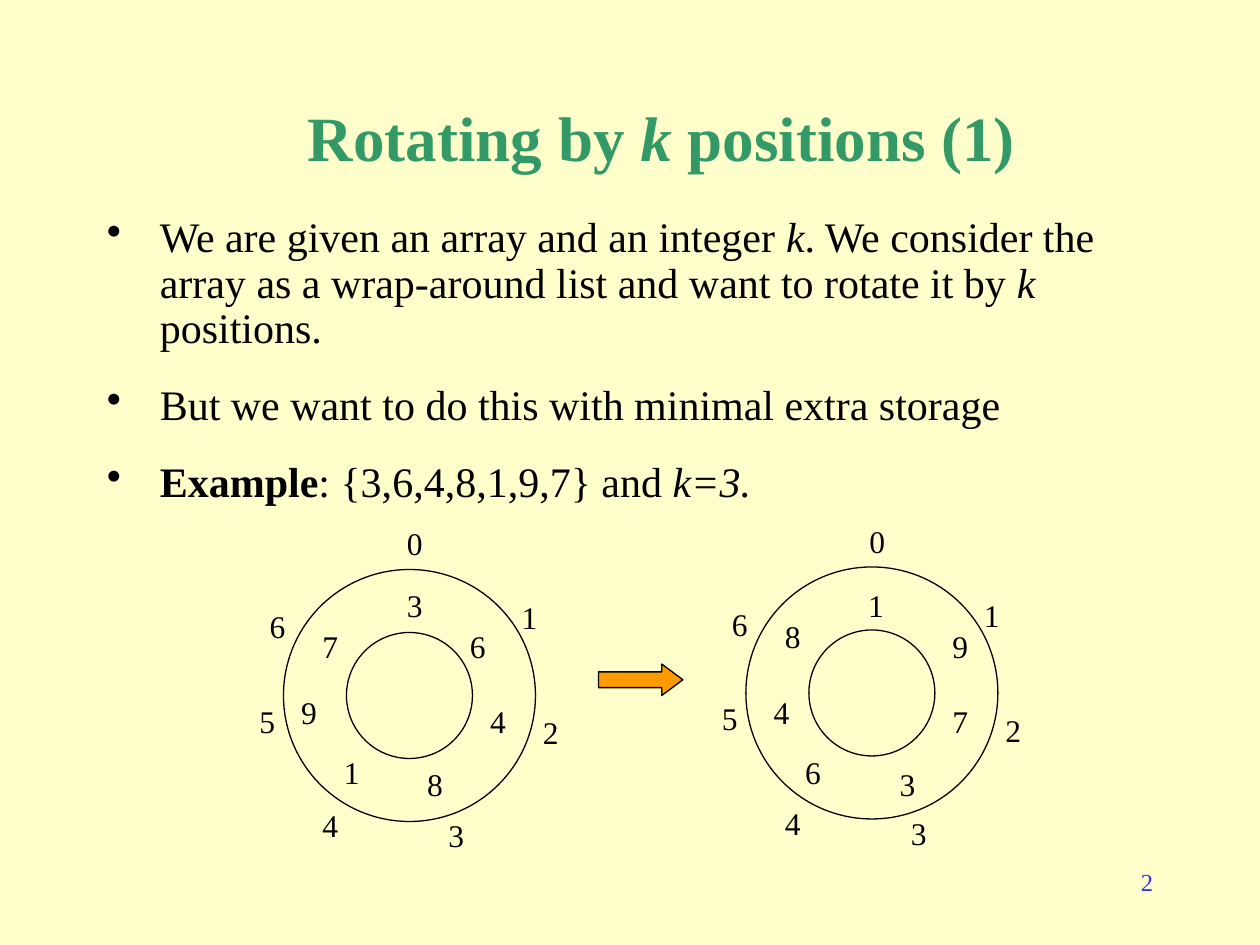
from lxml.etree import SubElement
from pptx import Presentation
from pptx.dml.color import RGBColor
from pptx.enum.shapes import MSO_SHAPE
from pptx.enum.text import MSO_ANCHOR, PP_ALIGN
from pptx.oxml.ns import qn
from pptx.util import Inches, Pt

FONT = "Times New Roman"
BLACK = "000000"
RING_SIZE = 2

BULLETS = [
    [("We are given an array and an integer ", ""), ("k", "i"),
     (". We consider the array as a wrap-around list and want to rotate it by ", ""),
     ("k", "i"), (" positions.", "")],
    [("But we want to do this with minimal extra storage", "")],
    [("Example", "b"), (": {3,6,4,8,1,9,7} and ", ""), ("k=3.", "i")],
]

# Offsets from the top left corner of a ring, in index order 0 to 6
INDEX_OFFSETS = [(0.92, -0.41), (1.83, 0.18), (2, 1.09), (1.25, 1.91),
                 (0.25, 1.83), (-0.25, 1), (-0.17, 0.25)]
BEFORE_OFFSETS = [(0.92, 0.08), (1.42, 0.41), (1.58, 1), (1.08, 1.5),
                  (0.42, 1.41), (0.08, 0.93), (0.25, 0.41)]
AFTER_OFFSETS = [(0.91, 0.1), (1.58, 0.43), (1.58, 1.02), (1.16, 1.52),
                 (0.41, 1.43), (0.16, 0.95), (0.25, 0.35)]


def color(value):
    return RGBColor.from_string(value)


def add_text_frame(slide, left, top, width, height, margin=0.1):
    box = slide.shapes.add_textbox(Inches(left), Inches(top), Inches(width), Inches(height))
    text_frame = box.text_frame
    text_frame.word_wrap = True
    text_frame.margin_left = text_frame.margin_right = Inches(margin)
    return text_frame


def add_runs(paragraph, runs, size, font_color):
    """Fill a paragraph from (text, style) pairs; a style holds b, i or both."""
    for text, style in runs:
        run = paragraph.add_run()
        run.text = text
        run.font.name = FONT
        run.font.size = Pt(size)
        run.font.color.rgb = color(font_color)
        run.font.bold = "b" in style
        run.font.italic = "i" in style


def set_bullet(paragraph):
    properties = paragraph._p.get_or_add_pPr()
    properties.set("marL", str(Inches(0.42)))
    properties.set("indent", str(-Inches(0.42)))
    SubElement(properties, qn("a:buChar")).set("char", "•")


def add_title(slide):
    text_frame = add_text_frame(slide, 1.25, 0.67, 8, 0.83)
    text_frame.vertical_anchor = MSO_ANCHOR.MIDDLE
    paragraph = text_frame.paragraphs[0]
    paragraph.alignment = PP_ALIGN.CENTER
    runs = [("Rotating by ", "b"), ("k", "bi"), (" positions (1)", "b")]
    add_runs(paragraph, runs, 36, "339966")


def add_body(slide):
    text_frame = add_text_frame(slide, 0.75, 1.67, 8.5, 5)
    for number, runs in enumerate(BULLETS):
        paragraph = text_frame.add_paragraph() if number else text_frame.paragraphs[0]
        set_bullet(paragraph)
        paragraph.line_spacing = 0.9
        paragraph.space_before = Pt(18 if number else 0)
        add_runs(paragraph, runs, 24, BLACK)


def add_page_number(slide):
    paragraph = add_text_frame(slide, 7.17, 6.83, 2.08, 0.5).paragraphs[0]
    paragraph.alignment = PP_ALIGN.RIGHT
    add_runs(paragraph, [("2", "")], 14, "3333FF")


def add_preset(slide, preset, left, top, width, height, adjustments, fill=None):
    shape = slide.shapes.add_shape(
        preset, Inches(left), Inches(top), Inches(width), Inches(height))
    shape.shadow.inherit = False
    for number, value in enumerate(adjustments):
        shape.adjustments[number] = value
    if fill:
        shape.fill.solid()
        shape.fill.fore_color.rgb = color(fill)
    else:
        shape.fill.background()
    shape.line.color.rgb = color(BLACK)
    shape.line.width = Pt(0.75)


def add_labels(slide, left, top, width, labels, offsets):
    for label, (across, down) in zip(labels, offsets):
        text_frame = add_text_frame(slide, left + across, top + down, width, 0.4, 0.06)
        add_runs(text_frame.paragraphs[0], [(label, "")], 18, BLACK)


def add_ring(slide, left, top, values, value_offsets):
    add_preset(slide, MSO_SHAPE.DONUT, left, top, RING_SIZE, RING_SIZE, [0.25])
    add_labels(slide, left, top, 0.5, values, value_offsets)
    add_labels(slide, left, top, 0.33, "0123456", INDEX_OFFSETS)


def main():
    presentation = Presentation()
    presentation.slide_width = Inches(10)
    presentation.slide_height = Inches(7.5)
    slide = presentation.slides.add_slide(presentation.slide_layouts[6])
    slide.background.fill.solid()
    slide.background.fill.fore_color.rgb = color("FFFFCC")

    add_page_number(slide)
    add_title(slide)
    add_body(slide)
    add_ring(slide, 2.25, 4.52, "3648197", BEFORE_OFFSETS)
    add_ring(slide, 5.92, 4.5, "1973648", AFTER_OFFSETS)
    add_preset(slide, MSO_SHAPE.RIGHT_ARROW, 4.75, 5.27, 0.67, 0.25, [0.5, 0.67], "FF9900")
    presentation.save("out.pptx")


if __name__ == "__main__":
    main()
